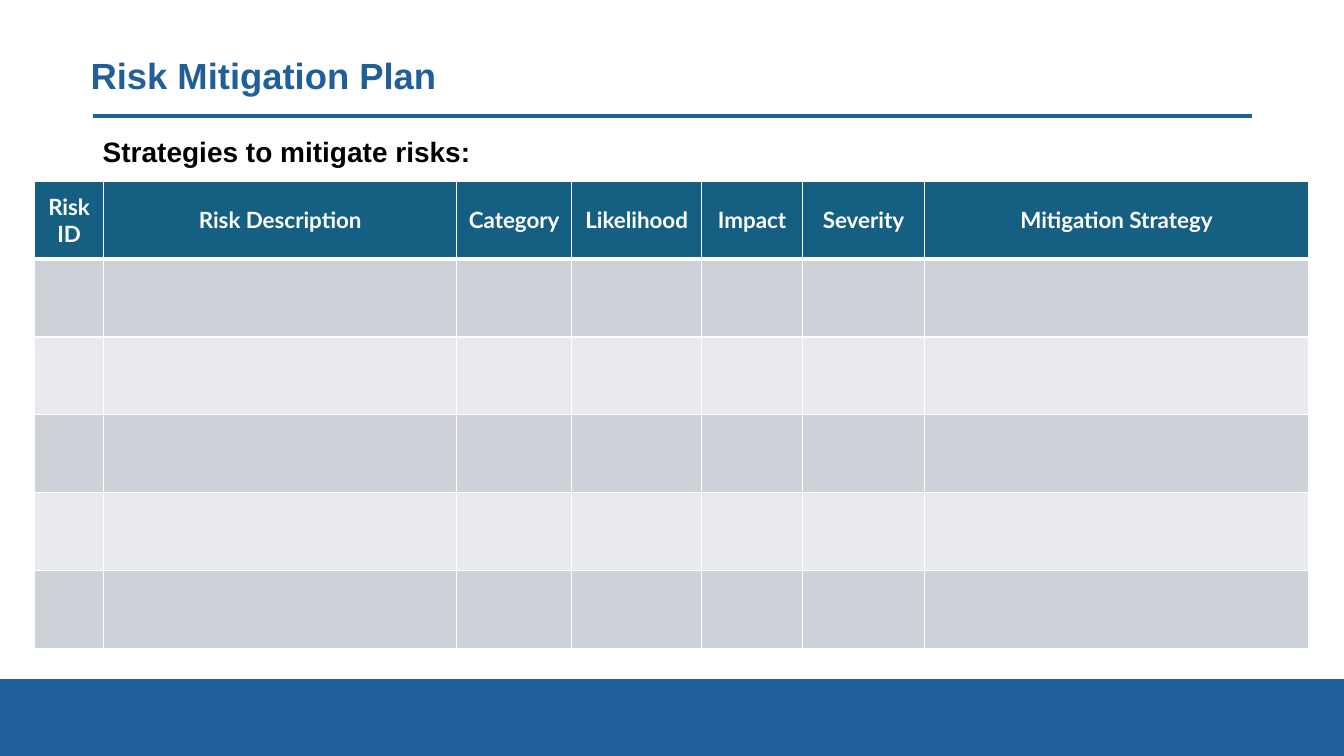
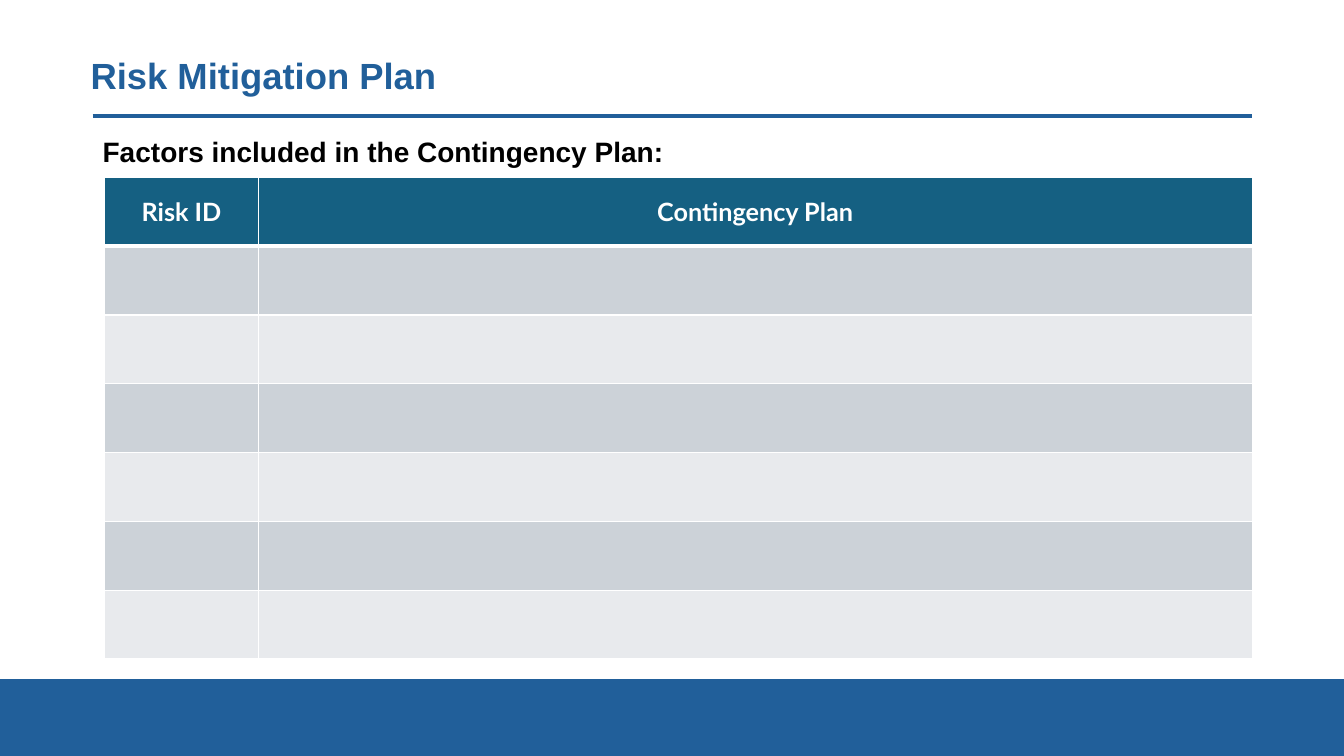
from lxml.etree import SubElement
from pptx import Presentation
from pptx.dml.color import RGBColor
from pptx.enum.shapes import MSO_CONNECTOR, MSO_SHAPE
from pptx.enum.text import MSO_ANCHOR, PP_ALIGN
from pptx.oxml import parse_xml
from pptx.oxml.ns import nsdecls, qn
from pptx.util import Inches, Pt

BLUE, TEAL, WHITE, BLACK = "215F9A", "156082", "FFFFFF", "000000"
BANDS = ("CCD2D8", "E8EAED")
WIDTH, HEIGHT = 13.33, 7.5


def color(code):
    return RGBColor.from_string(code)


def style(para, size, face, code):
    font = para.font
    font.size, font.name, font.bold = Pt(size), face, True
    font.color.rgb = color(code)


def add_text(slide, box, text, size, code, anchor):
    frame = slide.shapes.add_textbox(*map(Inches, box)).text_frame
    frame.word_wrap = True
    frame.vertical_anchor = anchor
    para = frame.paragraphs[0]
    para.text = text
    para.line_spacing = 0.9
    style(para, size, "Arial", code)


def add_footer(slide, box):
    band = slide.shapes.add_shape(MSO_SHAPE.RECTANGLE, *map(Inches, box))
    band.shadow.inherit = False
    band.fill.solid()
    band.fill.fore_color.rgb = color(BLUE)
    band.line.color.rgb = color(BLUE)
    band.line.width = Pt(1.5)


def add_rule(slide, left, top, width):
    rule = slide.shapes.add_connector(
        MSO_CONNECTOR.STRAIGHT, *map(Inches, (left, top, left + width, top)))
    rule.line.color.rgb = color(BLUE)
    rule.line.width = Pt(3)
    SubElement(rule._element.spPr, qn("a:effectLst"))


def add_frame(prs, title, lead):
    """Add a slide with the shared footer, rule, title and lead line."""
    slide = prs.slides.add_slide(prs.slide_layouts[6])
    add_footer(slide, (0, 6.75, WIDTH, 0.75))
    add_rule(slide, 0.92, 1.15, 11.5)
    add_text(slide, (0.8, 0.4, 11.5, 0.75), title, 26, BLUE, MSO_ANCHOR.MIDDLE)
    add_text(slide, (0.92, 1.32, 11.5, 0.44), lead, 20, BLACK, MSO_ANCHOR.TOP)
    return slide


def set_cell(cell, fill, top=1, bottom=1):
    """Fill a cell and give it white borders, widths in points."""
    cell.fill.solid()
    cell.fill.fore_color.rgb = color(fill)
    props = cell._tc.get_or_add_tcPr()
    edges = (("L", 1), ("R", 1), ("T", top), ("B", bottom))
    for place, (side, width) in enumerate(edges):
        props.insert(place, parse_xml(
            f'<a:ln{side} {nsdecls("a")} w="{Pt(width)}"><a:solidFill>'
            f'<a:srgbClr val="{WHITE}"/></a:solidFill></a:ln{side}>'))


def add_grid(slide, left, top, height, heads, rows, size):
    """Draw a header row over empty banded rows; heads pairs name and width."""
    width = sum(wide for _, wide in heads)
    table = slide.shapes.add_table(
        rows + 1, len(heads), *map(Inches, (left, top, width, height))).table
    for row in table.rows:
        row.height = Inches(height / (rows + 1))
    for col, (name, wide) in enumerate(heads):
        table.columns[col].width = Inches(wide)
        head = table.cell(0, col)
        set_cell(head, TEAL, bottom=3)
        head.vertical_anchor = MSO_ANCHOR.MIDDLE
        para = head.text_frame.paragraphs[0]
        para.text = name
        para.alignment = PP_ALIGN.CENTER
        style(para, size, "Lato", WHITE)
        for row in range(1, rows + 1):
            set_cell(table.cell(row, col), BANDS[(row - 1) % 2],
                     top=3 if row == 1 else 1)


def main():
    prs = Presentation()
    prs.slide_width, prs.slide_height = Inches(WIDTH), Inches(HEIGHT)
    title = "Risk Mitigation Plan"

    slide = add_frame(prs, title, "Strategies to mitigate risks:")
    heads = (("Risk ID", 0.69), ("Risk Description", 3.5), ("Category", 1.14),
             ("Likelihood", 1.29), ("Impact", 1), ("Severity", 1.21),
             ("Mitigation Strategy", 3.81))
    add_grid(slide, 0.34, 1.8, 4.63, heads, 5, 16)

    slide = add_frame(prs, title, "Factors included in the Contingency Plan:")
    heads = (("Risk ID", 1.52), ("Contingency Plan", 9.86))
    add_grid(slide, 1.04, 1.76, 4.78, heads, 6, 18)
    prs.save("out.pptx")


if __name__ == "__main__":
    main()
